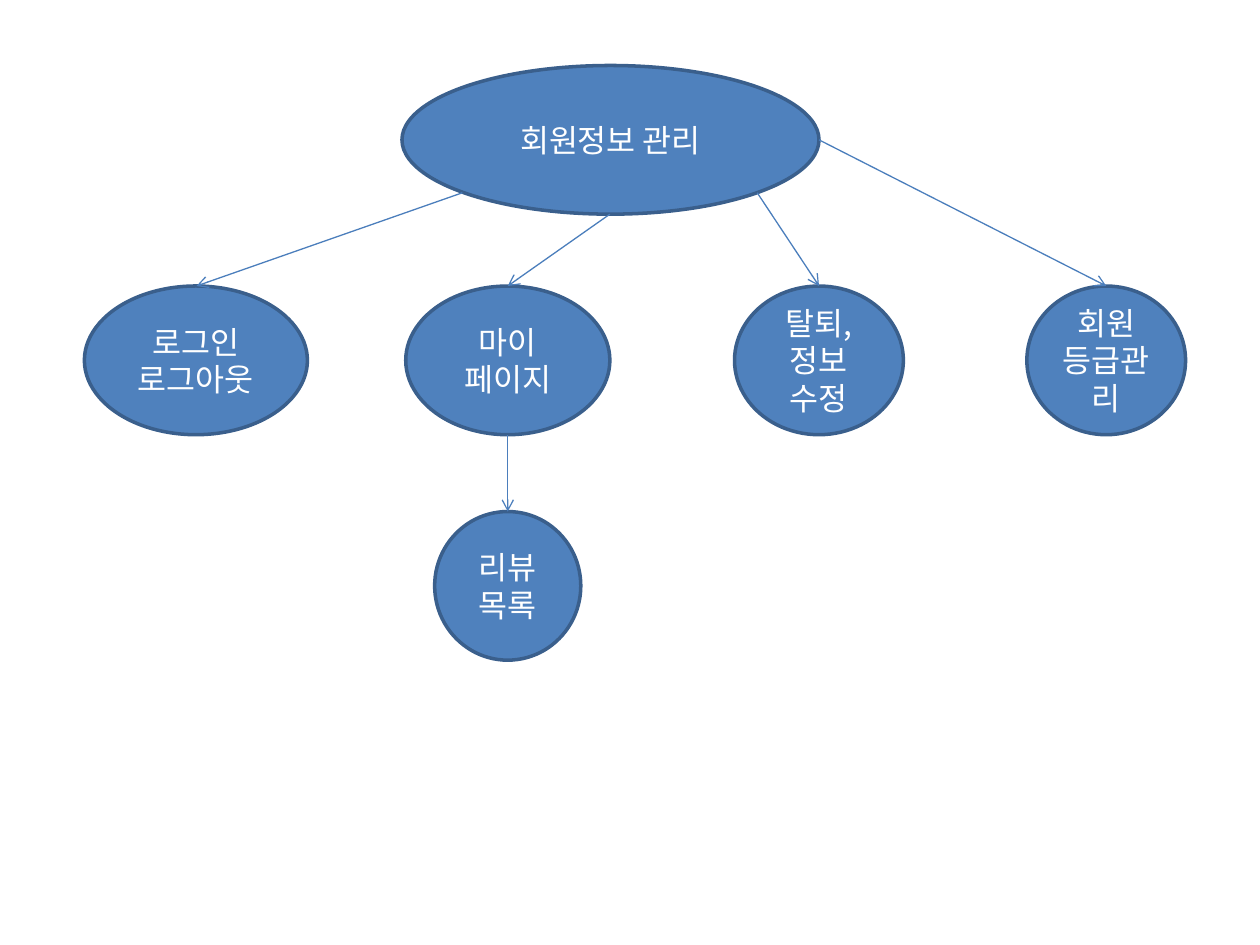
from lxml.etree import SubElement
from pptx import Presentation
from pptx.dml.color import RGBColor
from pptx.enum.shapes import MSO_CONNECTOR, MSO_SHAPE
from pptx.enum.text import MSO_ANCHOR, PP_ALIGN
from pptx.oxml.ns import qn
from pptx.util import Inches, Pt

FONT = "Noto Sans CJK KR"
COLORS = {"fill": "4F81BD", "outline": "3A5F8C", "arrow": "4B7EBC", "text": "FFFFFF"}
COLORS = {name: RGBColor.from_string(value) for name, value in COLORS.items()}

ROOT_TOP, MENU_TOP, REVIEW_TOP = 0.52, 2.27, 4.06
NODE_HEIGHT = 1.18
ROOT_BOTTOM = ROOT_TOP + NODE_HEIGHT
ROOT_SIDE = 1.53  # height of the root's lower diagonal points

deck = Presentation()
deck.slide_width, deck.slide_height = Inches(10), Inches(7.5)
page = deck.slides.add_slide(deck.slide_layouts[6])

# Nodes: left, top, width, text
nodes = [
    (3.19, ROOT_TOP, 3.31, "회원정보 관리"),
    (0.67, MENU_TOP, 1.77, "로그인\n로그아웃"),
    (3.22, MENU_TOP, 1.62, "마이\n페이지"),
    (5.83, MENU_TOP, 1.34, "탈퇴,\n정보 수정"),
    (8.15, MENU_TOP, 1.26, "회원 등급관리"),
    (3.45, REVIEW_TOP, 1.16, "리뷰목록"),
]
for left, top, width, text in nodes:
    node = page.shapes.add_shape(
        MSO_SHAPE.OVAL, Inches(left), Inches(top), Inches(width), Inches(NODE_HEIGHT))
    node.shadow.inherit = False
    node.fill.solid()
    node.fill.fore_color.rgb = COLORS["fill"]
    node.line.color.rgb = COLORS["outline"]
    node.line.width = Pt(2)
    frame = node.text_frame
    frame.text = text
    frame.word_wrap = True
    frame.vertical_anchor = MSO_ANCHOR.MIDDLE
    for paragraph in frame.paragraphs:
        paragraph.alignment = PP_ALIGN.CENTER
        paragraph.font.size = Pt(18)
        paragraph.font.name = FONT
        paragraph.font.color.rgb = COLORS["text"]
        # Hangul takes the East Asian font
        default = paragraph._p.pPr.find(qn("a:defRPr"))
        SubElement(default, qn("a:ea"), typeface=FONT)

# Arrows from parent to child: start x, start y, end x, end y
arrows = [
    (3.67, ROOT_SIDE, 1.56, MENU_TOP),
    (4.84, ROOT_BOTTOM, 4.03, MENU_TOP),
    (6.01, ROOT_SIDE, 6.5, MENU_TOP),
    (6.5, ROOT_TOP + NODE_HEIGHT / 2, 8.78, MENU_TOP),
    (4.03, MENU_TOP + NODE_HEIGHT, 4.03, REVIEW_TOP),
]
for points in arrows:
    arrow = page.shapes.add_connector(
        MSO_CONNECTOR.STRAIGHT, *[Inches(value) for value in points])
    arrow.line.color.rgb = COLORS["arrow"]
    arrow.line.width = Pt(0.75)
    SubElement(arrow.line._get_or_add_ln(), qn("a:tailEnd"), type="arrow")
    SubElement(arrow._element.spPr, qn("a:effectLst"))

deck.save("out.pptx")
